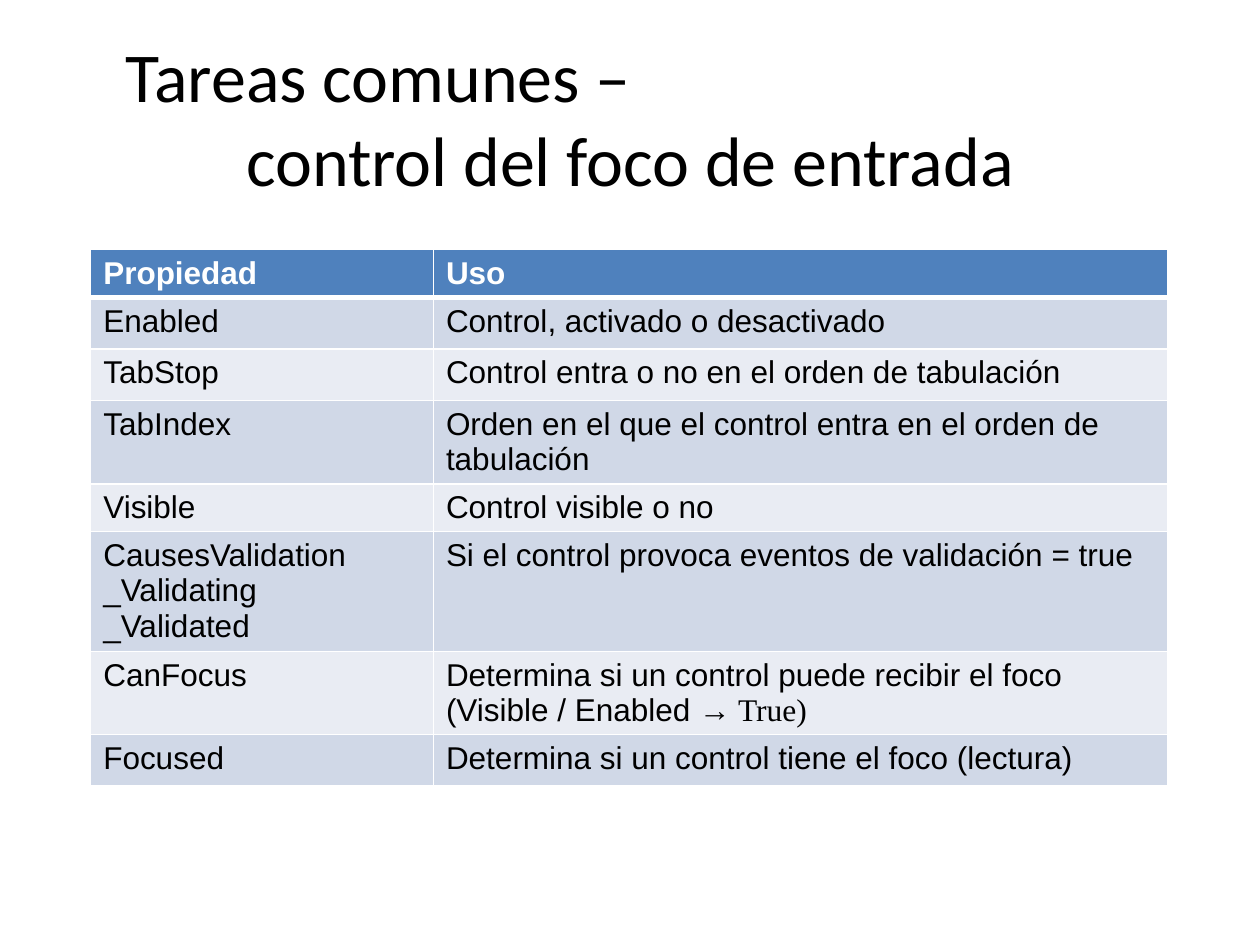
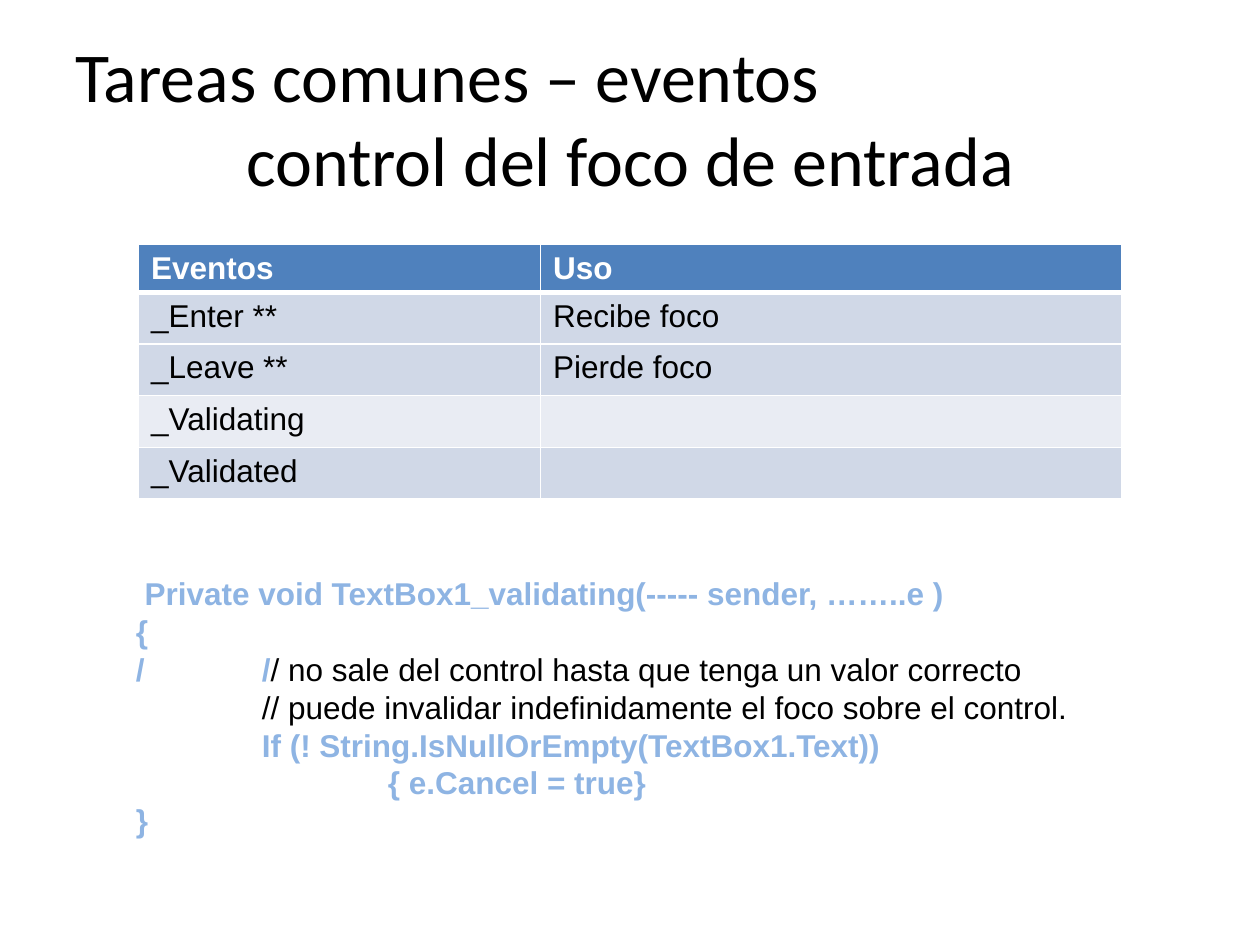
import lxml.etree
import pptx
import pptx.dml.color
import pptx.enum.text
import pptx.oxml.ns
import pptx.util
from dataclasses import dataclass

Inches, Pt = pptx.util.Inches, pptx.util.Pt
ALIGN = pptx.enum.text.PP_ALIGN


@dataclass(frozen=True)
class Theme:
    header: str = "4F81BD"
    dark_row: str = "D0D8E7"
    light_row: str = "E9ECF3"
    white: str = "FFFFFF"
    ink: str = "000000"
    code: str = "8EB4E3"
    title_font: str = "Calibri"
    body_font: str = "Arial"
    serif_font: str = "Times New Roman"
    title_size: int = 40
    body_size: int = 18
    rule: float = 0.96
    header_rule: float = 3


T = Theme()
BODY = {"name": T.body_font, "size": Pt(T.body_size), "bold": False, "color": T.ink}
SERIF = BODY | {"name": T.serif_font}
HEAD = BODY | {"bold": True, "color": T.white}
CODE = BODY | {"bold": True, "color": T.code}
TITLE = BODY | {"name": T.title_font, "size": Pt(T.title_size)}
TITLE_BOX = (0.5, 0.3, 9, 1.25)


def set_default_font(prs):
    """Make the body font the default, so table rows are measured with it."""
    for root in (prs.element, prs.slide_master.element):
        for latin in root.iter(pptx.oxml.ns.qn("a:latin")):
            latin.set("typeface", T.body_font)


def add_run(p, text, fmt):
    r = p.add_run()
    r.text = text
    for key, value in fmt.items():
        if key == "color":
            r.font.color.rgb = pptx.dml.color.RGBColor.from_string(value)
        else:
            setattr(r.font, key, value)


def fill_text(tf, lines, fmt):
    """Each line is a string or a list of (text, format) runs."""
    for i, line in enumerate(lines):
        p = tf.paragraphs[0] if i == 0 else tf.add_paragraph()
        for text, run_fmt in [(line, fmt)] if isinstance(line, str) else line:
            add_run(p, text, run_fmt)


def add_text(s, box, lines, fmt):
    tf = s.shapes.add_textbox(*map(Inches, box)).text_frame
    tf.word_wrap = True
    fill_text(tf, lines, fmt)
    return tf


def add_title(s, box, lines, indent):
    """First line from the left, second line centred."""
    tf = add_text(s, box, lines, TITLE)
    tf.vertical_anchor = pptx.enum.text.MSO_ANCHOR.MIDDLE
    first, second = tf.paragraphs
    first.alignment, second.alignment = ALIGN.LEFT, ALIGN.CENTER
    first._p.get_or_add_pPr().set("marL", str(Inches(indent)))


def add_code(s, box, lines, tab_stops):
    for p in add_text(s, box, lines, CODE).paragraphs:
        tabs = lxml.etree.SubElement(p._p.get_or_add_pPr(), pptx.oxml.ns.qn("a:tabLst"))
        for stop in tab_stops:
            lxml.etree.SubElement(tabs, pptx.oxml.ns.qn("a:tab"), pos=str(Inches(stop)), algn="l")


def set_borders(cell, widths):
    tcPr = cell._tc.get_or_add_tcPr()
    for side, width in widths.items():
        ln = lxml.etree.SubElement(tcPr, pptx.oxml.ns.qn(f"a:ln{side}"), w=str(Pt(width)))
        fill = lxml.etree.SubElement(ln, pptx.oxml.ns.qn("a:solidFill"))
        lxml.etree.SubElement(fill, pptx.oxml.ns.qn("a:srgbClr"), val=T.white)


def add_property_table(s, left, top, cols, heights, rows, light_rows):
    box = (left, top, sum(cols), sum(heights))
    table = s.shapes.add_table(len(rows), len(cols), *map(Inches, box)).table
    table.first_row = table.horz_banding = False
    for col, width in zip(table.columns, cols):
        col.width = Inches(width)
    for i, (row, height) in enumerate(zip(rows, heights)):
        table.rows[i].height = Inches(height)
        color = T.header if i == 0 else T.light_row if i in light_rows else T.dark_row
        widths = dict.fromkeys("LRTB", T.rule)
        if i < 2:
            widths["B" if i == 0 else "T"] = T.header_rule
        for j, lines in enumerate(row):
            cell = table.cell(i, j)
            cell.margin_bottom = 0
            set_borders(cell, widths)
            cell.fill.solid()
            cell.fill.fore_color.rgb = pptx.dml.color.RGBColor.from_string(color)
            if isinstance(lines, str):
                lines = [lines] if lines else []
            fill_text(cell.text_frame, lines, HEAD if i == 0 else BODY)


def build_properties(s):
    add_title(s, TITLE_BOX, ["Tareas comunes –", "control del foco de entrada"], 0.4)
    rows = [
        ("Propiedad", "Uso"),
        ("Enabled", "Control, activado o desactivado"),
        ("TabStop", "Control entra o no en el orden de tabulación"),
        ("TabIndex", "Orden en el que el control entra en el orden de tabulación"),
        ("Visible", "Control visible o no"),
        (["CausesValidation", "_Validating", "_Validated"],
         "Si el control provoca eventos de validación = true"),
        ("CanFocus", ["Determina si un control puede recibir el foco",
                      [("(Visible / Enabled →", BODY), (" True)", SERIF)]]),
        ("Focused", "Determina si un control tiene el foco (lectura)"),
    ]
    heights = [0.38, 0.41, 0.41, 0.66, 0.38, 0.94, 0.66, 0.41]
    add_property_table(s, 0.72, 1.98, [2.72, 5.83], heights, rows, light_rows=(2, 4, 6))


def build_events(s):
    add_title(s, TITLE_BOX, ["Tareas comunes – eventos", "control del foco de entrada"], 0)
    # Validation handler
    code = [
        " Private void TextBox1_validating(----- sender, ……..e )",
        "{",
        [("/\t/", CODE), ("/ no sale del control hasta que tenga un valor correcto", BODY)],
        [("\t// puede invalidar indefinidamente el foco sobre el control.", BODY)],
        "\tIf (! String.IsNullOrEmpty(TextBox1.Text))",
        "\t\t{ e.Cancel = true}",
        "}",
    ]
    add_code(s, (0.98, 4.51, 7.68, 2.19), code, tab_stops=(1, 2))
    # Focus events
    rows = [
        ("Eventos", "Uso"),
        ("_Enter **", "Recibe foco"),
        ("_Leave **", "Pierde foco"),
        ("_Validating", ""),
        ("_Validated", ""),
    ]
    add_property_table(s, 1.1, 1.94, [3.19, 4.61], [0.38] + [0.41] * 4, rows, light_rows=(3,))


def main():
    prs = pptx.Presentation()
    prs.slide_width, prs.slide_height = Inches(10), Inches(7.5)
    set_default_font(prs)
    for build in (build_properties, build_events):
        build(prs.slides.add_slide(prs.slide_layouts[6]))
    prs.save("out.pptx")


if __name__ == "__main__":
    main()
